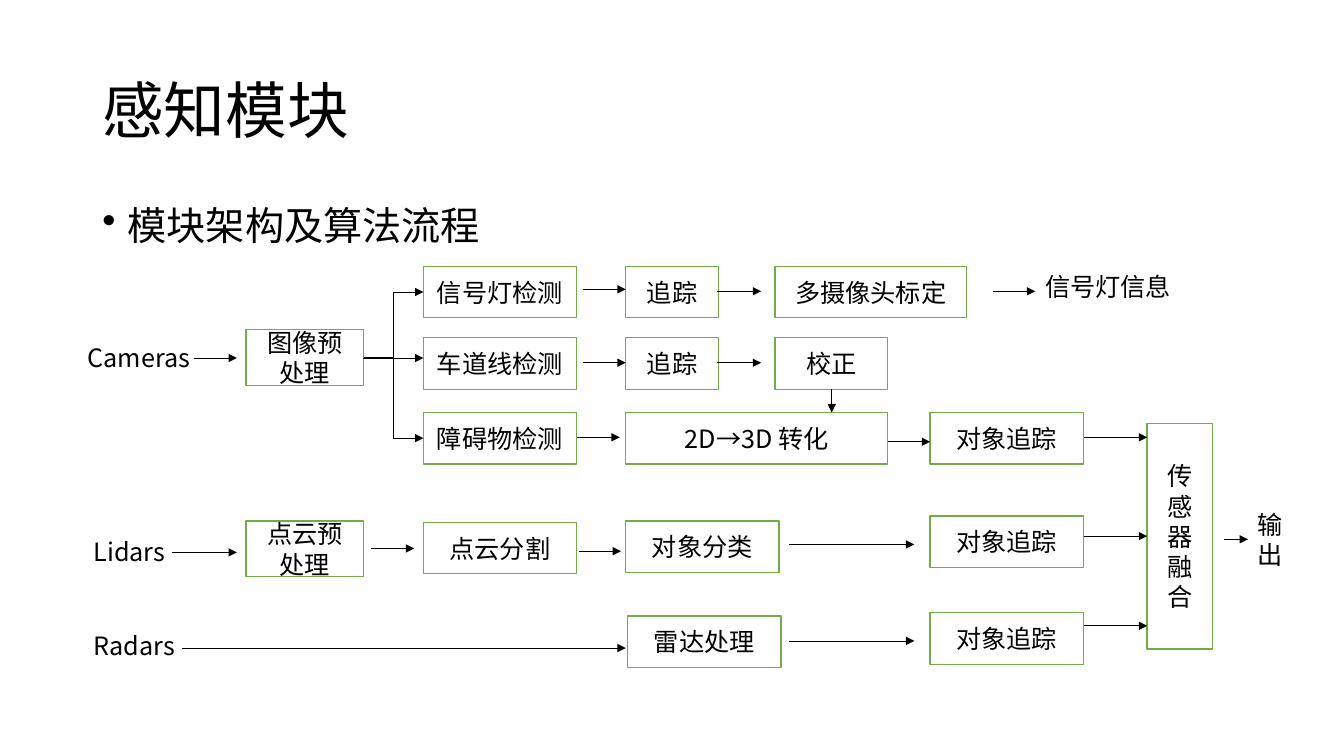
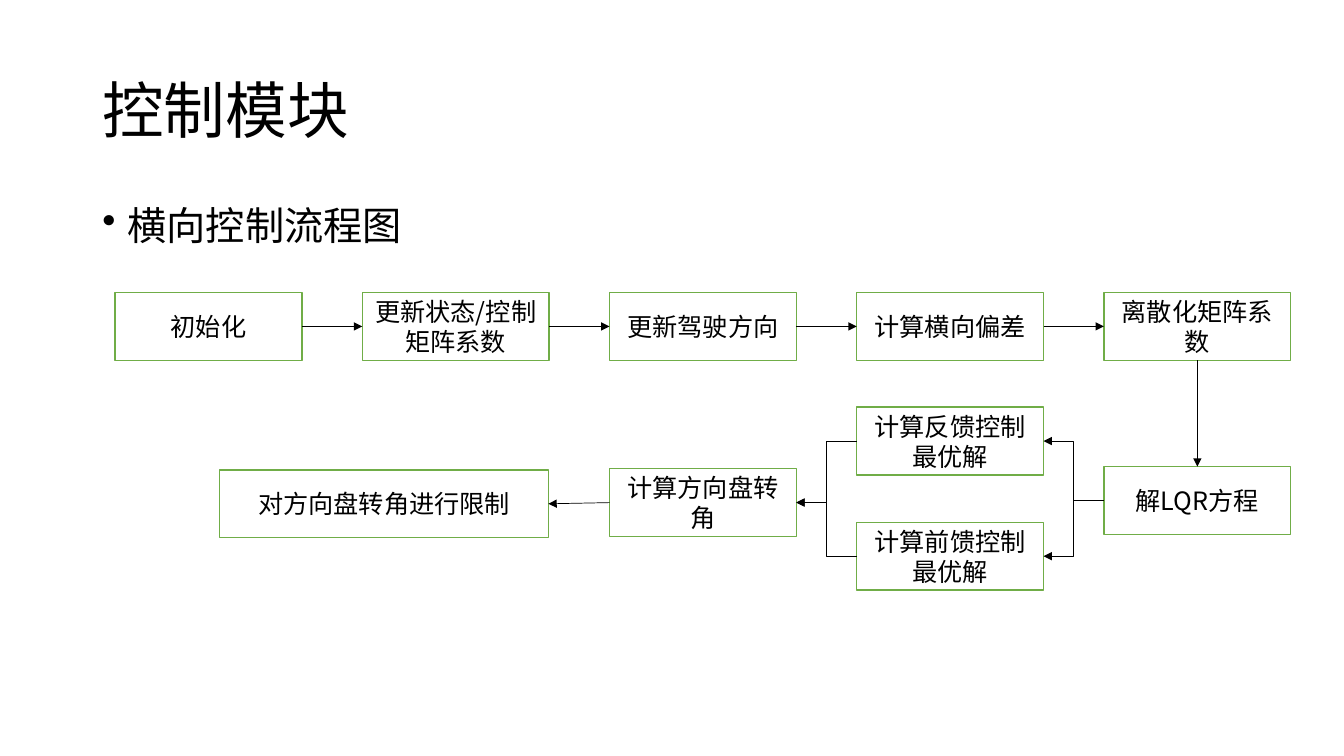
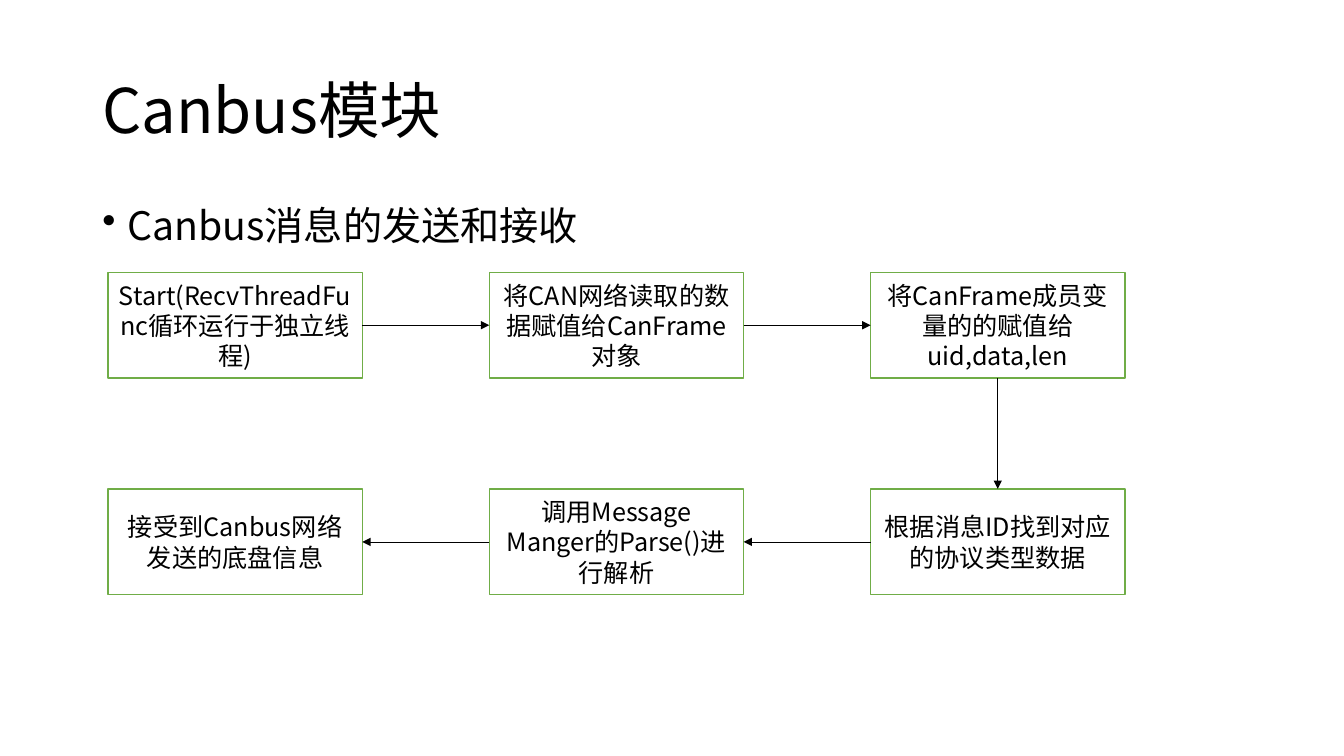
from lxml import etree
from pptx import Presentation
from pptx.dml.color import RGBColor
from pptx.enum.shapes import MSO_CONNECTOR, MSO_SHAPE
from pptx.enum.text import MSO_ANCHOR, PP_ALIGN
from pptx.oxml.ns import qn
from pptx.util import Cm, Pt

RECT = MSO_SHAPE.RECTANGLE
LINE, BENT = MSO_CONNECTOR.STRAIGHT, MSO_CONNECTOR.ELBOW
TOP, MIDDLE = MSO_ANCHOR.TOP, MSO_ANCHOR.MIDDLE
LEFT, CENTER = PP_ALIGN.LEFT, PP_ALIGN.CENTER
UP, WEST, DOWN, EAST = range(4)  # connection sites of a rectangle
FONT = "Noto Sans CJK SC"
BLACK, WHITE, GREEN = "000000", "FFFFFF", "70AD47"
color = RGBColor.from_string


def write(slide, text, x, y, w, h, size=18, frame=True, anchor=MIDDLE):
    """Add text, in a green frame or as a plain text box."""
    spot = Cm(x), Cm(y), Cm(w), Cm(h)
    if frame:
        shape = slide.shapes.add_shape(RECT, *spot)
        shape.shadow.inherit = False
        shape.fill.solid()
        shape.fill.fore_color.rgb = color(WHITE)
        shape.line.color.rgb = color(GREEN)
        shape.line.width = Pt(1)
    else:
        shape = slide.shapes.add_textbox(*spot)
    body = shape.text_frame
    body.word_wrap = True
    body.vertical_anchor = anchor
    par = body.paragraphs[0]
    par.text = text
    par.alignment = CENTER if frame else LEFT
    par.font.size = Pt(size)
    par.font.color.rgb = color(BLACK)
    par.font.name = FONT
    props = par._p.pPr.find(qn("a:defRPr"))
    etree.SubElement(props, qn("a:ea"), typeface=FONT)
    return shape


def link(slide, start, end, kind=LINE):
    """Draw an arrow; each end is a point or a (shape, site) pair."""
    spots = [Cm(n) if isinstance(n, (int, float)) else 0 for n in start + end]
    arrow = slide.shapes.add_connector(kind, *spots)
    if not isinstance(start[0], (int, float)):
        arrow.begin_connect(*start)
    if not isinstance(end[0], (int, float)):
        arrow.end_connect(*end)
    arrow.line.color.rgb = color(BLACK)
    arrow.line.width = Pt(0.5)
    etree.SubElement(arrow.line._get_or_add_ln(), qn("a:tailEnd"), type="triangle")
    etree.SubElement(arrow._element.spPr, qn("a:effectLst"))


deck = Presentation()
deck.slide_width, deck.slide_height = Cm(33.87), Cm(19.05)

# Titles and bullets
heads = [
    ("感知模块", "模块架构及算法流程"),
    ("控制模块", "横向控制流程图"),
    ("Canbus模块", "Canbus消息的发送和接收"),
]
pages = []
for title, topic in heads:
    page = deck.slides.add_slide(deck.slide_layouts[6])
    head = write(page, title, 2.33, 1.01, 29.21, 3.68, 44, False)
    head.text_frame.paragraphs[0].line_spacing = 0.9
    item = write(page, topic, 2.33, 5.07, 29.21, 12.09, 28, False, TOP)
    par = item.text_frame.paragraphs[0]
    par.line_spacing = 0.9
    par.space_before = Pt(10)
    props = par._p.pPr
    props.set("marL", str(Cm(0.64)))
    props.set("indent", str(-Cm(0.64)))
    mark = etree.Element(qn("a:buChar"), char="•")
    props.find(qn("a:defRPr")).addprevious(mark)
    pages.append(page)
sense, steer, bus = pages

# Perception: inputs and outputs
for text, x, y, w, h in [
    ("Cameras", 1.96, 8.51, 3.3, 1.03),
    ("Lidars", 2.11, 13.39, 2.77, 1.03),
    ("Radars", 2.11, 15.77, 2.77, 1.03),
    ("信号灯信息", 26.09, 6.71, 4.47, 1.03),
    ("输出", 31.45, 12.7, 1.24, 1.8),
]:
    write(sense, text, x, y, w, h, frame=False, anchor=TOP)

# Perception: steps
image = write(sense, "图像预处理", 6.2, 8.31, 2.97, 1.4)
write(sense, "点云预处理", 6.2, 13.13, 2.97, 1.4)
write(sense, "传感器融合", 28.91, 10.67, 1.65, 5.69)
lanes = [6.71, 8.51, 10.39]
finds = [
    write(sense, text, 10.67, y, 3.86, 1.3)
    for text, y in zip(["信号灯检测", "车道线检测", "障碍物检测"], lanes)
]
for text, x, y, w in [
    ("追踪", 15.77, lanes[0], 2.34),
    ("多摄像头标定", 19.53, lanes[0], 4.83),
    ("追踪", 15.77, lanes[1], 2.34),
    ("校正", 19.53, lanes[1], 2.84),
    ("2D→3D 转化", 15.77, lanes[2], 6.6),
    ("对象追踪", 23.44, lanes[2], 3.86),
    ("点云分割", 10.67, 13.16, 3.86),
    ("对象分类", 15.77, 13.13, 3.86),
    ("对象追踪", 23.44, 13, 3.86),
    ("雷达处理", 15.82, 15.52, 3.86),
    ("对象追踪", 23.44, 15.44, 3.86),
]:
    write(sense, text, x, y, w, 1.3)

# Perception: arrows
for find in finds[::2]:
    link(sense, (image, EAST), (find, WEST), BENT)
for left, right, y in [
    (4.88, 5.97, 9.02), (4.34, 5.97, 13.92), (4.6, 15.77, 16.33),
    (9.14, 10.67, 9.02), (9.35, 10.44, 13.82),
    (14.68, 15.77, 7.29), (14.68, 15.77, 9.14),
    (14.53, 15.62, 11.02), (14.58, 15.65, 13.89),
    (18.08, 19.18, 7.34), (18.08, 19.18, 9.14), (25.02, 26.09, 7.34),
    (22.38, 23.44, 11.13), (19.89, 23.04, 13.72), (19.89, 23.04, 16.15),
    (27.31, 28.91, 11.02), (27.31, 28.91, 13.51), (27.31, 28.91, 15.77),
    (30.84, 31.45, 13.59),
]:
    link(sense, (left, y), (right, y))
link(sense, (20.96, 9.8), (20.96, 10.39))

# Control: steps
cols = [2.9 + 6.23 * i for i in range(5)]
names = ["初始化", "更新状态/控制矩阵系数", "更新驾驶方向", "计算横向偏差", "离散化矩阵系数"]
steps = [write(steer, text, x, 7.37, 4.71, 1.71) for text, x in zip(names, cols)]
solve = write(steer, "解LQR方程", cols[4], 11.76, 4.71, 1.71)
back = write(steer, "计算反馈控制最优解", cols[3], 10.26, 4.71, 1.71)
ahead = write(steer, "计算前馈控制最优解", cols[3], 13.16, 4.71, 1.71)
angle = write(steer, "计算方向盘转角", cols[2], 11.81, 4.71, 1.71)
limit = write(steer, "对方向盘转角进行限制", 5.54, 11.84, 8.28, 1.71)

# Control: arrows
for one, two in zip(steps, steps[1:]):
    link(steer, (one, EAST), (two, WEST))
link(steer, (steps[4], DOWN), (solve, UP))
for best in (back, ahead):
    link(steer, (solve, WEST), (best, EAST), BENT)
    link(steer, (best, WEST), (angle, EAST), BENT)
link(steer, (angle, WEST), (limit, EAST))

# Canbus: two rows, the second read from right to left
cols = [2.72 + 9.61 * i for i in range(3)]
send = ["Start(RecvThreadFunc循环运行于独立线程)",
        "将CAN网络读取的数据赋值给CanFrame对象",
        "将CanFrame成员变量的的赋值给uid,data,len"]
take = ["根据消息ID找到对应的协议类型数据",
        "调用Message Manger的Parse()进行解析",
        "接受到Canbus网络发送的底盘信息"]
upper = [write(bus, text, x, 6.86, 6.41, 2.67) for text, x in zip(send, cols)]
lower = [write(bus, text, x, 12.32, 6.41, 2.67) for text, x in zip(take, cols[::-1])]
for row, out, into in [(upper, EAST, WEST), (lower, WEST, EAST)]:
    for one, two in zip(row, row[1:]):
        link(bus, (one, out), (two, into))
link(bus, (upper[2], DOWN), (lower[0], UP))

deck.save("out.pptx")
